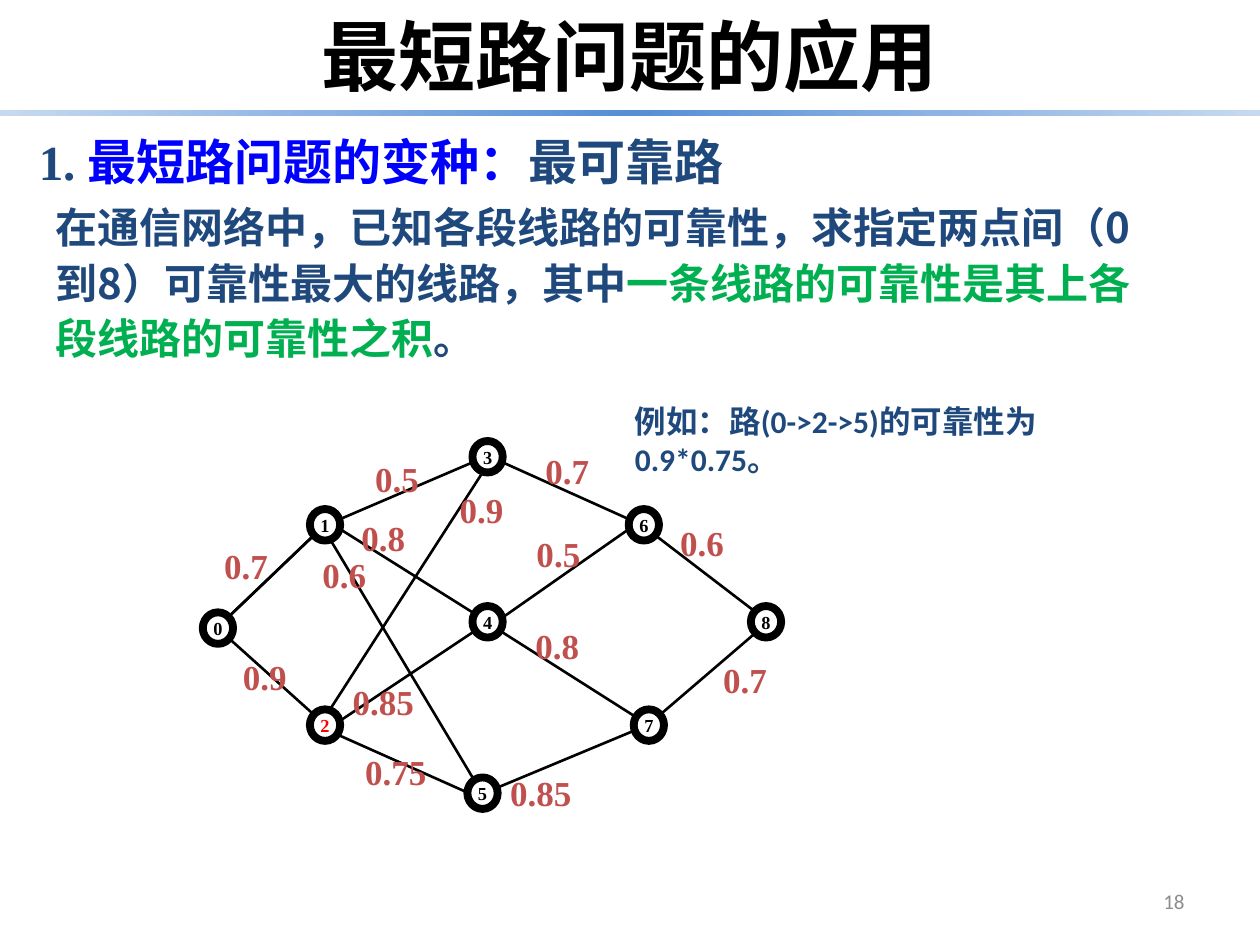
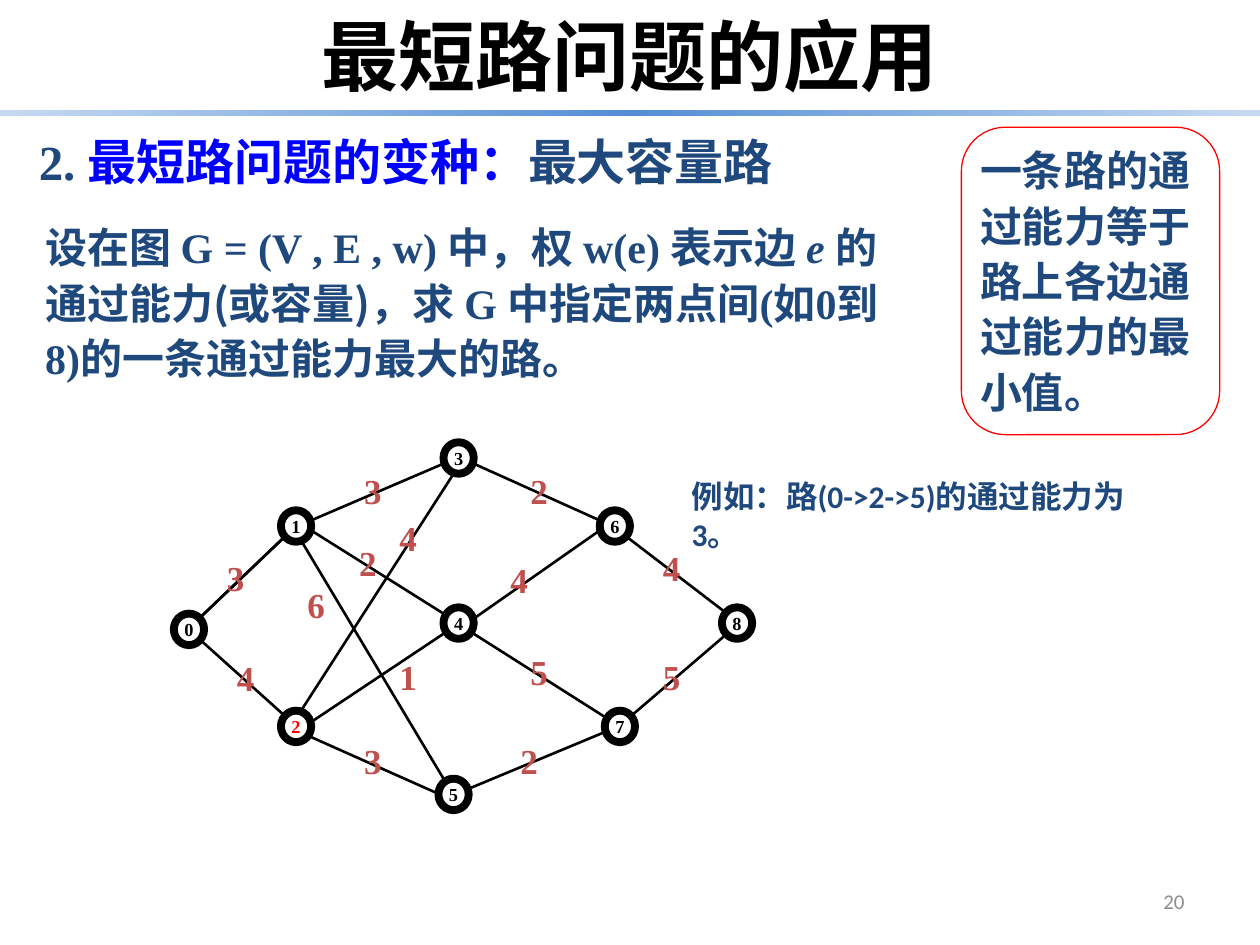
from lxml import etree
from pptx import Presentation
from pptx.dml.color import RGBColor
from pptx.enum import shapes, text
from pptx.oxml import ns
from pptx.util import Inches, Pt

COLORS = {
    "navy": "1F497D", "blue": "0000FF", "green": "00B050", "black": "000000",
    "red": "FF0000", "brick": "C0504D", "grey": "8C8C8C",
    "band_edge": "C6D9F1", "band_mid": "8EB4E3", "band_core": "558ED5",
}
TIMES, SANS, CALIBRI, MONO = "Times New Roman", "Noto Sans CJK SC", "Calibri", "DejaVu Sans Mono"
BAND_STOPS = [(0, "band_edge"), (25, "band_mid"), (50, "band_core"), (75, "band_mid"), (100, "band_edge")]
TOP, MIDDLE = text.MSO_ANCHOR.TOP, text.MSO_ANCHOR.MIDDLE
LEFT, CENTER, RIGHT = text.PP_ALIGN.LEFT, text.PP_ALIGN.CENTER, text.PP_ALIGN.RIGHT

NODE_W, NODE_H = 0.24, 0.25
NODES = [(0, 1.36), (0.85, 0.54), (0.85, 2.13), (2.14, 0), (2.14, 1.31),
         (2.1, 2.67), (3.38, 0.54), (3.42, 2.13), (4.35, 1.31)]
EDGES = [
    (0, 2, (0.2, 0.2), (0.04, 0.05)), (0, 1, (0.2, 0.04), (0.04, 0.2)),
    (4, 6, (0.24, 0.09), (0, 0.16)), (5, 7, (0.24, 0.08), (0, 0.17)),
    (7, 8, (0.2, 0.05), (0.04, 0.21)), (2, 4, (0.24, 0.09), (0, 0.21)),
    (4, 7, (0.24, 0.21), (0, 0.05)), (3, 6, (0.24, 0.17), (0, 0.08)),
    (6, 8, (0.2, 0.2), (0.04, 0.05)), (2, 5, (0.24, 0.21), (0, 0.12)),
    (1, 4, (0.24, 0.16), (0, 0.05)), (1, 5, (0.16, 0.24), (0.04, 0)),
    (1, 3, (0.24, 0.08), (0, 0.17)), (3, 2, (0.08, 0.25), (0.16, 0)),
    (0, 1, (0.22, 0.02), (0.05, 0.19)),
]
RELIABILITIES = [
    ("0.6", 0.85, 0.84), ("0.9", 0.22, 1.65), ("0.9", 1.94, 0.33), ("0.5", 2.55, 0.68),
    ("0.6", 3.69, 0.59), ("0.5", 1.27, 0.08), ("0.85", 2.34, 2.57), ("0.8", 2.54, 1.41),
    ("0.7", 4.03, 1.68), ("0.75", 1.19, 2.41), ("0.85", 1.09, 1.85), ("0.8", 1.16, 0.55),
    ("0.7", 2.62, 0.02), ("0.7", 0.07, 0.77),
]
CAPACITIES = [
    ("3", 0.4, 0.86), ("6", 1.04, 1.07), ("4", 0.48, 1.65), ("4", 1.77, 0.54),
    ("4", 2.65, 0.87), ("4", 3.86, 0.78), ("3", 1.49, 0.17), ("2", 2.73, 2.31),
    ("5", 2.81, 1.6), ("5", 3.86, 1.64), ("3", 1.49, 2.31), ("1", 1.77, 1.64),
    ("2", 1.45, 0.74), ("2", 2.81, 0.17),
]


def rgb(name):
    """Return the palette colour called name."""
    return RGBColor.from_string(COLORS[name])


def write(tf, runs, size, align=LEFT, bold=True, spacing=None):
    """Fill a frame with one paragraph of (text, font, colour, italic) runs."""
    p = tf.paragraphs[0]
    p.alignment = align
    if spacing:
        p.line_spacing = spacing
    for words, font, color, italic in runs:
        r = p.add_run()
        r.text = words
        r.font.name, r.font.size = font, Pt(size)
        r.font.bold, r.font.italic = bold, italic
        r.font.color.rgb = rgb(color)
        ea = etree.SubElement(r.font._element, ns.qn("a:ea"))
        ea.set("typeface", SANS)


def add_text(s, box, runs, size, anchor=TOP, margins=(0.1, 0.1), **style):
    """Add a wrapped text box with the given left and right margins."""
    tf = s.shapes.add_textbox(*map(Inches, box)).text_frame
    tf.word_wrap = True
    tf.vertical_anchor = anchor
    tf.margin_left, tf.margin_right = map(Inches, margins)
    write(tf, runs, size, **style)


def add_preset(s, kind, box):
    """Add an unfilled preset shape without a shadow."""
    sp = s.shapes.add_shape(kind, *map(Inches, box))
    sp.shadow.inherit = False
    sp.fill.background()
    return sp


def add_band(s, box):
    """Add the gradient band below the title."""
    sp = add_preset(s, shapes.MSO_SHAPE.RECTANGLE, box)
    sp.line.fill.background()
    sp.fill.gradient()
    sp.fill.gradient_angle = 0
    stops = sp._element.spPr.find(".//" + ns.qn("a:gsLst"))
    for gs in list(stops):
        stops.remove(gs)
    for percent, color in BAND_STOPS:
        gs = etree.SubElement(stops, ns.qn("a:gs"), pos=str(percent * 1000))
        etree.SubElement(gs, ns.qn("a:srgbClr"), val=COLORS[color])


def add_frame(prs, number, topic, page):
    """Add a slide with the shared title, band, heading and page number."""
    s = prs.slides.add_slide(prs.slide_layouts[6])
    add_band(s, (0, 0.87, 10, 0.05))
    add_text(s, (0, 0.02, 10, 0.84), [("最短路问题的应用", MONO, "black", False)], 44, align=CENTER)
    heading = [(f"{number}. ", TIMES, "navy", False),
               ("最短路问题的变种：", TIMES, "blue", False),
               (topic, TIMES, "navy", False)]
    add_text(s, (0.21, 0.99, 6.44, 0.57), heading, 28, MIDDLE)
    add_text(s, (7.17, 6.95, 2.33, 0.4), [(str(page), CALIBRI, "grey", False)], 12,
             MIDDLE, align=RIGHT, bold=False)
    return s


def add_edge(s, start, end):
    """Draw one graph edge between two points."""
    cx = s.shapes.add_connector(shapes.MSO_CONNECTOR.STRAIGHT, *map(Inches, start + end))
    cx.line.color.rgb = rgb("black")
    cx.line.width = Pt(1.5)
    etree.SubElement(cx._element.spPr, ns.qn("a:effectLst"))


def add_network(s, left, top, weights, label_w, label_h, label_margin):
    """Draw the nine-node network and its edge weights from a top left corner."""
    for i, (x, y) in enumerate(NODES):
        sp = add_preset(s, shapes.MSO_SHAPE.OVAL, (left + x, top + y, NODE_W, NODE_H))
        sp.line.color.rgb = rgb("black")
        sp.line.width = Pt(4.5)
        tf = sp.text_frame
        tf.word_wrap = False
        tf.vertical_anchor = MIDDLE
        tf.margin_left = tf.margin_right = tf.margin_top = tf.margin_bottom = 0
        write(tf, [(str(i), TIMES, "red" if i == 2 else "black", False)], 10.5, CENTER)
    for a, b, out, into in EDGES:
        start, end = [(left + NODES[n][0] + dx, top + NODES[n][1] + dy)
                      for n, (dx, dy) in ((a, out), (b, into))]
        add_edge(s, start, end)
    for weight, x, y in weights:
        add_text(s, (left + x, top + y, label_w, label_h),
                 [(weight, TIMES, "brick", False)], 20, margins=(label_margin, 0))


def add_example(s, box, words):
    """Add the worked example beside the network."""
    add_text(s, box, [(words, CALIBRI, "navy", False)], 18, margins=(0.1, 0.2))


def reliable_path_slide(prs):
    """Build the slide on the most reliable path."""
    s = add_frame(prs, 1, "最可靠路", 18)
    body = [("在通信网络中，已知各段线路的可靠性，求指定两点间（0到8）可靠性最大的线路，其中", SANS, "navy", False),
            ("一条线路的可靠性是其上各段线路的可靠性之积", SANS, "green", False),
            ("。", SANS, "navy", False)]
    add_text(s, (0.34, 1.53, 9.04, 1.38), body, 24, MIDDLE, spacing=1.1)
    add_network(s, 1.61, 3.5, RELIABILITIES, 0.7, 0.44, 0.1)
    add_example(s, (4.94, 3.14, 4.59, 0.4), "例如：路(0->2->5)的可靠性为0.9*0.75。")


def capacity_path_slide(prs):
    """Build the slide on the path of largest capacity."""
    s = add_frame(prs, 2, "最大容量路", 20)
    body = [("设在图 G = (V , E , w) 中，权 w(e) 表示边 ", TIMES, "navy", False),
            ("e ", TIMES, "navy", True),
            ("的通过能力", TIMES, "navy", False),
            ("(", SANS, "navy", False),
            ("或容量", TIMES, "navy", False),
            (")", SANS, "navy", False),
            ("，求 G 中指定两点间(如0到8)的一条通过能力最大的路。", TIMES, "navy", False)]
    add_text(s, (0.26, 1.67, 7.07, 1.4), body, 24, spacing=1.1)
    add_text(s, (7.68, 1.06, 1.97, 2.3),
             [("一条路的通过能力等于路上各边通过能力的最小值。", TIMES, "navy", False)], 24, spacing=1.1)
    sp = add_preset(s, shapes.MSO_SHAPE.ROUNDED_RECTANGLE, (7.63, 1.01, 2.05, 2.44))
    sp.adjustments[0] = 0.17
    sp.line.color.rgb = rgb("red")
    sp.line.width = Pt(0.75)
    add_network(s, 1.38, 3.51, CAPACITIES, 0.12, 0.4, 0.02)
    add_example(s, (5.39, 3.74, 4.05, 0.4), "例如：路(0->2->5)的通过能力为3。")


def main():
    """Build both slides and save the presentation."""
    prs = Presentation()
    prs.slide_width, prs.slide_height = Inches(10), Inches(7.5)
    reliable_path_slide(prs)
    capacity_path_slide(prs)
    prs.save("out.pptx")


if __name__ == "__main__":
    main()
